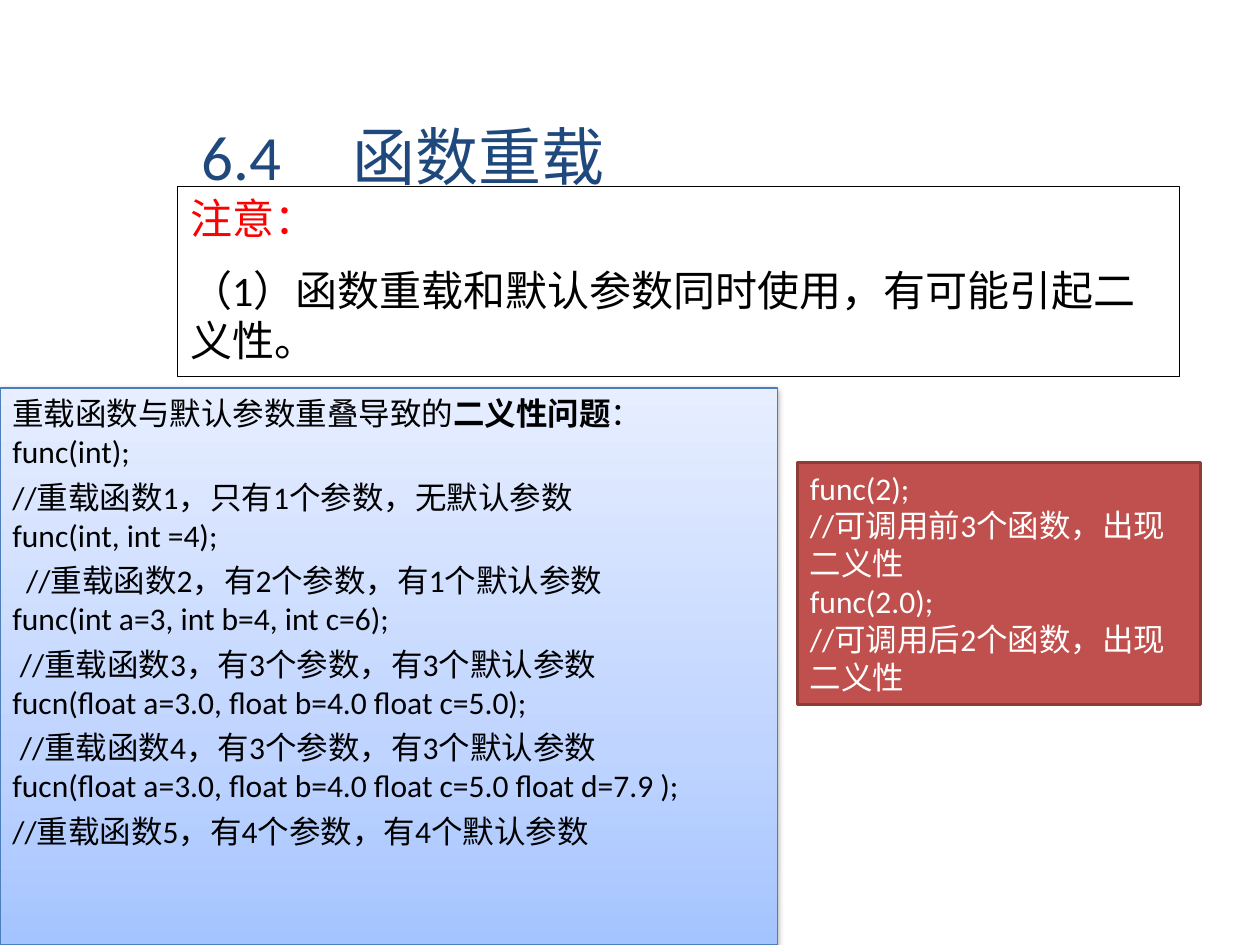
from lxml import etree
from pptx import Presentation
from pptx.dml.color import RGBColor
from pptx.enum.shapes import MSO_SHAPE
from pptx.enum.text import MSO_ANCHOR, MSO_AUTO_SIZE, PP_ALIGN
from pptx.oxml.ns import qn
from pptx.util import Inches, Pt

RECTANGLE = MSO_SHAPE.RECTANGLE
TOP, BOTTOM = MSO_ANCHOR.TOP, MSO_ANCHOR.BOTTOM
LEFT = PP_ALIGN.LEFT
NO_AUTOSIZE = MSO_AUTO_SIZE.NONE

FONT = "Calibri"
BLACK = RGBColor(0x00, 0x00, 0x00)
WHITE = RGBColor(0xFF, 0xFF, 0xFF)
RED = RGBColor(0xFF, 0x00, 0x00)
NAVY = RGBColor(0x1F, 0x49, 0x7D)
BLUE_LINE = RGBColor(0x4B, 0x7E, 0xBC)
BRICK = RGBColor(0xC0, 0x50, 0x4D)
BRICK_LINE = RGBColor(0x8E, 0x3B, 0x39)
BLUE_STOPS = [
    (0, RGBColor(0xA4, 0xC4, 0xFF)),
    (35, RGBColor(0xBF, 0xD4, 0xFF)),
    (100, RGBColor(0xE6, 0xEE, 0xFF)),
]

OVERLOADS = [
    (0, "//重载函数1，只有1个参数，无默认参数", "func(int, int =4);"),
    (0.11, "//重载函数2，有2个参数，有1个默认参数", "func(int a=3, int b=4, int c=6);"),
    (0.06, "//重载函数3，有3个参数，有3个默认参数",
     "fucn(float a=3.0, float b=4.0 float c=5.0);"),
    (0.06, "//重载函数4，有3个参数，有3个默认参数",
     "fucn(float a=3.0, float b=4.0 float c=5.0 float d=7.9 );"),
    (0, "//重载函数5，有4个参数，有4个默认参数", None),
]


def add_span(para, text, size, color, bold=False):
    span = para.add_run()
    span.text = text
    span.font.name = FONT
    span.font.size = Pt(size)
    span.font.bold = bold
    span.font.color.rgb = color


def add_para(box, before=0, indent=0):
    frame = box.text_frame
    first = frame.paragraphs[0]
    para = first if not first.runs else frame.add_paragraph()
    para.alignment = LEFT
    para.space_before = Pt(before)
    if indent:
        para._p.get_or_add_pPr().set("indent", str(Inches(indent)))
    return para


def add_lines(para, lines, size, color):
    for number, line in enumerate(lines):
        if number:
            para.add_line_break()
        add_span(para, line, size, color)


def add_box(slide, left, top, width, height, line_color, line_width):
    box = slide.shapes.add_shape(
        RECTANGLE, Inches(left), Inches(top), Inches(width), Inches(height))
    box.shadow.inherit = False
    box.line.color.rgb = line_color
    box.line.width = Pt(line_width)
    box.text_frame.word_wrap = True
    box.text_frame.vertical_anchor = TOP
    return box


def fill_solid(box, color):
    box.fill.solid()
    box.fill.fore_color.rgb = color


def add_color(parent, color):
    return etree.SubElement(parent, qn("a:srgbClr"), val=str(color))


def fill_gradient(box, stops):
    box.fill.gradient()
    box.fill.gradient_angle = 90
    stop_list = box._element.spPr.find(".//" + qn("a:gsLst"))
    for old_stop in list(stop_list):
        stop_list.remove(old_stop)
    for position, color in stops:
        stop = etree.SubElement(stop_list, qn("a:gs"), pos=str(position * 1000))
        add_color(stop, color)


def add_shadow(box):
    effects = box._element.spPr.find(qn("a:effectLst"))
    shadow = etree.SubElement(
        effects, qn("a:outerShdw"), blurRad=str(Pt(3.1)), dist=str(Pt(1.6)),
        dir="5400000", rotWithShape="0")
    etree.SubElement(add_color(shadow, BLACK), qn("a:alpha"), val="38000")


def set_title(slide):
    title = slide.shapes.title
    title.left, title.top = Inches(1.5), Inches(0.33)
    title.width, title.height = Inches(8), Inches(1.25)
    title.text_frame.auto_size = NO_AUTOSIZE
    title.text_frame.vertical_anchor = BOTTOM
    para = add_para(title)
    tabs = etree.SubElement(para._p.get_or_add_pPr(), qn("a:tabLst"))
    etree.SubElement(tabs, qn("a:tab"), pos=str(Inches(1.2)), algn="l")
    add_span(para, "6.4\t函数重载", 36, NAVY)


def add_notice(slide):
    box = add_box(slide, 1.41, 1.48, 7.95, 1.51, BLACK, 0.75)
    fill_solid(box, WHITE)
    add_span(add_para(box, 12), "注意：", 24, RED)
    add_span(add_para(box, 12),
             "（1）函数重载和默认参数同时使用，有可能引起二义性。", 24, BLACK)


def add_overloads(slide):
    box = add_box(slide, 0, 3.08, 6.17, 4.42, BLUE_LINE, 0.75)
    fill_gradient(box, BLUE_STOPS)
    add_shadow(box)
    para = add_para(box, 4.5)
    add_span(para, "重载函数与默认参数重叠导致的", 18, BLACK)
    add_span(para, "二义性问题", 18, BLACK, bold=True)
    add_lines(para, ["：", "func(int);"], 18, BLACK)
    for indent, remark, declaration in OVERLOADS:
        lines = [remark, declaration] if declaration else [remark]
        add_lines(add_para(box, 4.5, indent), lines, 18, BLACK)


def add_calls(slide):
    box = add_box(slide, 6.33, 3.67, 3.2, 1.92, BRICK_LINE, 2)
    fill_solid(box, BRICK)
    for lines in (["func(2);"],
                  ["//可调用前3个函数，出现二义性", "func(2.0);"],
                  ["//可调用后2个函数，出现二义性"]):
        add_lines(add_para(box), lines, 18, WHITE)


def main():
    deck = Presentation()
    deck.slide_width, deck.slide_height = Inches(10), Inches(7.5)
    slide = deck.slides.add_slide(deck.slide_layouts[5])
    add_notice(slide)
    set_title(slide)
    add_overloads(slide)
    add_calls(slide)
    deck.save("out.pptx")


if __name__ == "__main__":
    main()
